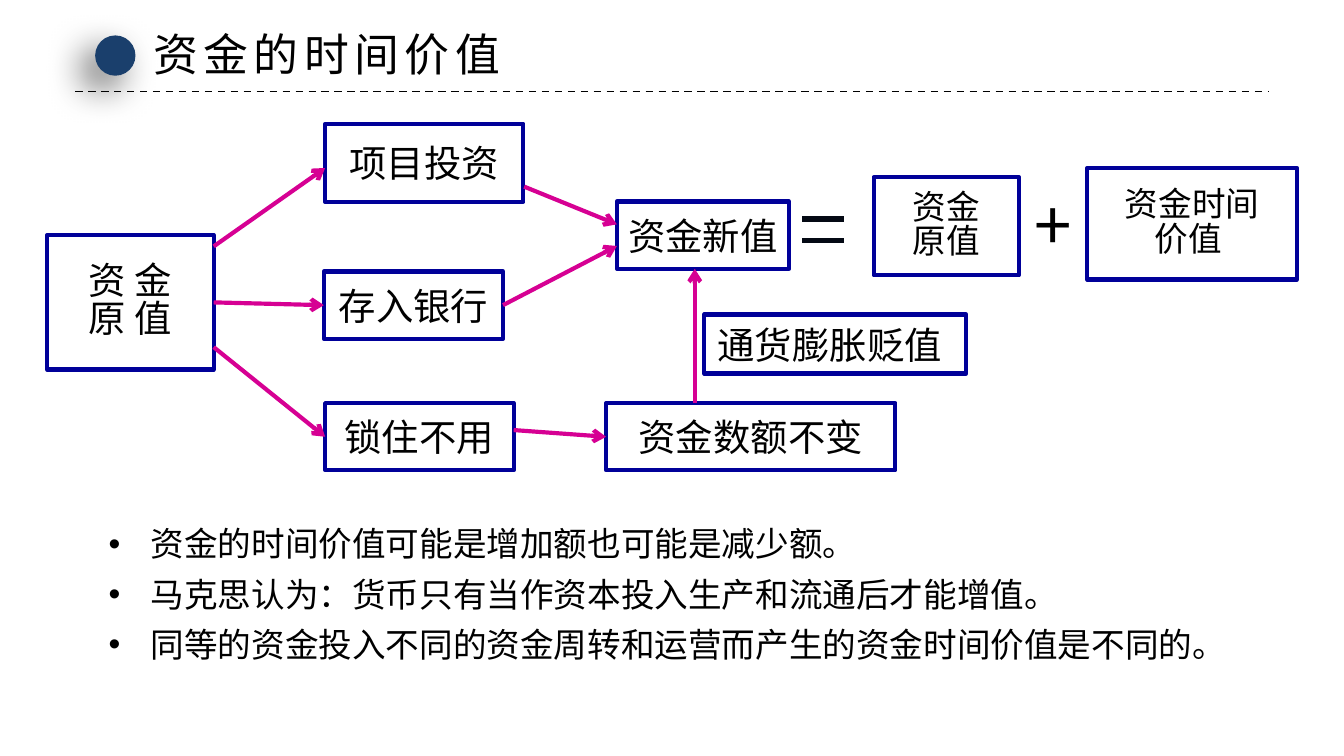
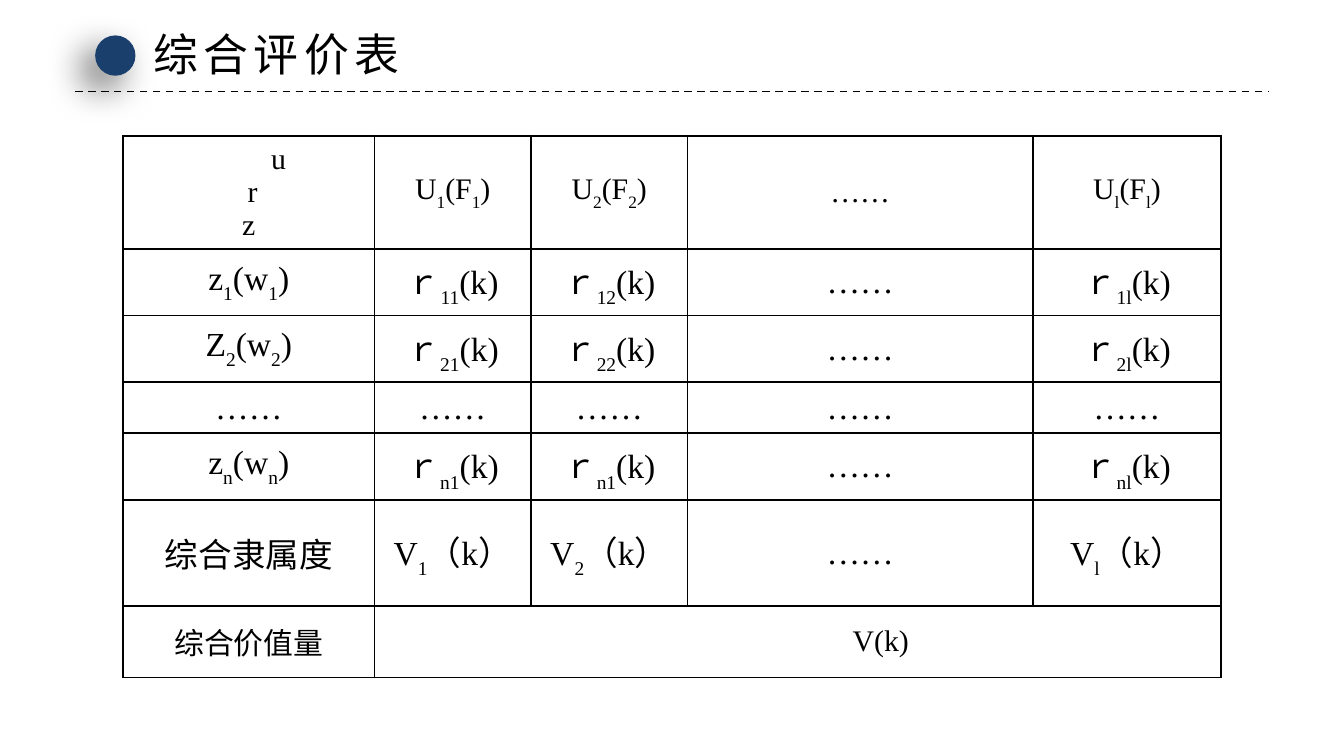
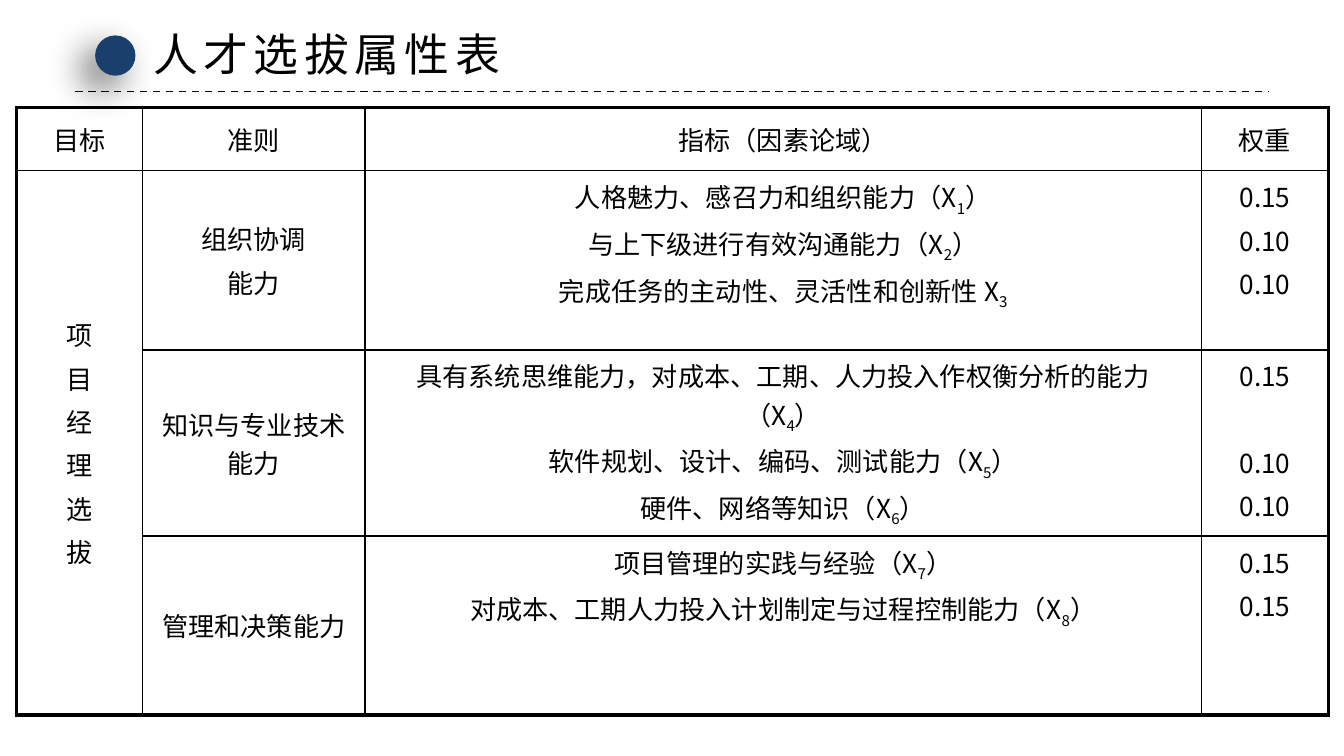
from pptx import Presentation
from pptx.dml.color import RGBColor
from pptx.enum.dml import MSO_LINE
from pptx.enum.shapes import MSO_CONNECTOR, MSO_SHAPE
from pptx.enum.text import MSO_ANCHOR, MSO_AUTO_SIZE, PP_ALIGN
from pptx.oxml.ns import qn
from pptx.util import Pt
from lxml.etree import SubElement

BLACK = RGBColor(0x00, 0x00, 0x00)
NAVY = RGBColor(0x1A, 0x3F, 0x6C)
BOX_BLUE = RGBColor(0x00, 0x00, 0x99)
ARROW_PINK = RGBColor(0xD6, 0x00, 0x93)
EQUALS_INK = RGBColor(0x04, 0x09, 0x14)
SANS = "Noto Sans CJK SC"
SERIF = "Times New Roman"
NO_STYLE = "{2D5ABB26-0587-4C30-8999-92F81FD0307C}"
TOP, LEFT, BOTTOM, RIGHT = range(4)

FLOW_TITLE = "资金的时间价值"
FLOW_POINTS = [
    "资金的时间价值可能是增加额也可能是减少额。",
    "马克思认为：货币只有当作资本投入生产和流通后才能增值。",
    "同等的资金投入不同的资金周转和运营而产生的资金时间价值是不同的。",
]
FLOW_BOXES = {
    "original": ("资 金\n原 值", 20, (25.2, 126, 89.3, 72)),
    "bank": ("存入银行", 20, (173.5, 145.5, 96, 36)),
    "project": ("项目投资", 20, (174.2, 66.3, 106.2, 41.8)),
    "locked": ("锁住不用", 20, (174.2, 216, 101, 36)),
    "unchanged": ("资金数额不变", 20, (324.7, 216, 155, 36)),
    "new value": ("资金新值", 20, (330.5, 108, 92.2, 36)),
    "time value": ("资金时间\n价值 ", 18, (582.5, 90, 112.3, 59.8)),
    "principal": ("资金\n原值", 18, (468, 95, 77.8, 52.6)),
    "inflation": ("通货膨胀贬值", 20, (377.3, 168.5, 140.4, 31.7)),
}
FLOW_ARROWS = [
    (("original", RIGHT), ("bank", LEFT)),
    ((114.5, 132), (174.2, 90)),
    ((114.5, 186), ("locked", LEFT)),
    ((275.2, 230.4), ("unchanged", LEFT)),
    ((280.8, 100), (330.5, 120.2)),
    (("bank", RIGHT), (330.5, 131.8)),
    ((372.2, 216), (372.2, 144)),
]
EQUALS_HEIGHTS = [117.4, 128.9]

SCORE_TITLE = "综合评价表"
DOTS = "……"
SCORE_ROWS = [
    ["u\nr\nz", "U~1~(F~1~)", "U~2~(F~2~)", DOTS, "U~l~(F~l~)"],
    ["z~1~(w~1~)", "ｒ~11~(k)", "ｒ~12~(k)", DOTS, "ｒ~1l~(k)"],
    ["Z~2~(w~2~)", "ｒ~21~(k)", "ｒ~22~(k)", DOTS, "ｒ~2l~(k)"],
    [DOTS] * 5,
    ["z~n~(w~n~)", "ｒ~n1~(k)", "ｒ~n1~(k)", DOTS, "ｒ~nl~(k)"],
    ["综合隶属度", "V~1~（k）", "V~2~（k）", DOTS, "V~l~（k）"],
    ["综合价值量", "V(k)", "", "", ""],
]
SCORE_LAYOUT = {
    "origin": (66, 72.7),
    "widths": [134.6, 83.9, 83.9, 185, 100.8],
    "heights": [47.5, 27.4, 27.4, 27.4, 27.4, 31.7, 38.2],
    "sizes": [16, 18, 18, 18, 18, 18, 16],
    "font": SERIF,
    "subscript": -30000,
    "merge": ((6, 1), (6, 4)),
    "frame": 1,
    "top_cells": [(0, 0)],
    "indents": {(0, 0, 0): 32, (0, 0, 1): 4, (6, 1, 0): 89},
    "gap": 0,
    "gaps": {},
}

TALENT_TITLE = "人才选拔属性表"
TALENT_ROWS = [
    ["目标", "准则", "指标（因素论域）", "权重"],
    ["项\n目\n经\n理\n选\n拔", "组织协调\n能力",
     "人格魅力、感召力和组织能力（X~1~）\n与上下级进行有效沟通能力（X~2~）\n"
     "完成任务的主动性、灵活性和创新性 X~3~",
     "0.15\n0.10\n0.10"],
    ["", "知识与专业技术能力",
     "具有系统思维能力，对成本、工期、人力投入作权衡分析的能力（X~4~）\n"
     "软件规划、设计、编码、测试能力（X~5~）\n硬件、网络等知识（X~6~）",
     "0.15\n0.10\n0.10"],
    ["", "管理和决策能力",
     "项目管理的实践与经验（X~7~）\n对成本、工期人力投入计划制定与过程控制能力（X~8~）",
     "0.15\n0.15"],
]
TALENT_LAYOUT = {
    "origin": (8.9, 57.6),
    "widths": [67.5, 119.2, 448, 68.2],
    "heights": [33.8, 96, 96, 96],
    "sizes": [14] * 4,
    "font": SANS,
    "subscript": -25000,
    "merge": ((1, 0), (3, 0)),
    "frame": 2.25,
    "top_cells": [(row, column) for row in (1, 2, 3) for column in (2, 3)],
    "indents": {},
    "gap": 2.8,
    "gaps": {(2, 3, 1): 26},
}


def points(values):
    return [Pt(value) for value in values]


def place(shape, area):
    shape.left, shape.top, shape.width, shape.height = points(area)


def add_spans(para, text, size, font=SANS, subscript=0):
    for index, part in enumerate(text.split("~")):
        if not part:
            continue
        span = para.add_run()
        span.text = part
        span.font.size = Pt(size)
        span.font.bold = False
        span.font.color.rgb = BLACK
        span.font.name = font
        props = span._r.get_or_add_rPr()
        SubElement(props, qn("a:ea"), typeface=SANS)
        if index % 2:
            props.set("baseline", str(subscript))


def write_lines(frame, lines, size, align, font=SANS, subscript=0):
    for index, line in enumerate(lines):
        para = frame.add_paragraph() if index else frame.paragraphs[0]
        para.alignment = align
        add_spans(para, line, size, font, subscript)
    return frame.paragraphs


def set_frame(frame, side_margin=0, wrap=True):
    frame.auto_size = MSO_AUTO_SIZE.NONE
    frame.word_wrap = wrap
    frame.vertical_anchor = MSO_ANCHOR.MIDDLE
    frame.margin_top = frame.margin_bottom = 0
    frame.margin_left = frame.margin_right = Pt(side_margin)


def add_line(page, start, end, color, width):
    line = page.shapes.add_connector(MSO_CONNECTOR.STRAIGHT, *points(start + end))
    line.line.color.rgb = color
    line.line.width = Pt(width)
    SubElement(line._element.spPr, qn("a:effectLst"))
    return line


def add_page(deck, title, layout):
    page = deck.slides.add_slide(deck.slide_layouts.get_by_name(layout))
    rule = add_line(page, (40.3, 49), (679.7, 49), BLACK, 1)
    rule.line.dash_style = MSO_LINE.DASH

    dot = page.shapes.add_shape(MSO_SHAPE.OVAL, *points((51, 19, 21.6, 21.6)))
    dot.fill.solid()
    dot.fill.fore_color.rgb = NAVY
    dot.line.fill.background()
    effects = SubElement(dot._element.spPr, qn("a:effectLst"))
    shadow = SubElement(effects, qn("a:outerShdw"), blurRad=str(Pt(20)), dist=str(Pt(10)),
                        dir="8100000", algn="tr", rotWithShape="0")
    shade = SubElement(shadow, qn("a:srgbClr"), val=str(BLACK))
    SubElement(shade, qn("a:alpha"), val="60000")

    heading = page.shapes.title
    place(heading, (74.8, 10.8, 14.4 + 27 * len(title), 36))
    set_frame(heading.text_frame, 7.2, False)
    para = write_lines(heading.text_frame, [title], 24, PP_ALIGN.LEFT)[0]
    para.runs[0]._r.get_or_add_rPr().set("spc", "300")
    return page


def add_bullets(page, lines):
    body = page.placeholders[1]
    place(body, (51, 271.4, 623.6, 102.2))
    body.text_frame.auto_size = MSO_AUTO_SIZE.NONE
    for para in write_lines(body.text_frame, lines, 18, PP_ALIGN.JUSTIFY):
        para.line_spacing = 1.25
        para.space_before = Pt(0)
        props = para._p.get_or_add_pPr()
        props.set("marL", str(Pt(22.5)))
        props.set("indent", str(Pt(-22.5)))
        SubElement(props, qn("a:buChar"), char="•")


def add_box(page, name):
    text, size, area = FLOW_BOXES[name]
    box = page.shapes.add_shape(MSO_SHAPE.RECTANGLE, *points(area))
    box.shadow.inherit = False
    box.fill.background()
    box.line.color.rgb = BOX_BLUE
    box.line.width = Pt(2.25)
    is_label = name == "inflation"
    set_frame(box.text_frame, 7.2 if is_label else 0)
    lines = text.split("\n")
    align = PP_ALIGN.LEFT if is_label else PP_ALIGN.CENTER
    for para in write_lines(box.text_frame, lines, size, align):
        if len(lines) > 1:
            para.line_spacing = 0.85
    return box


def locate(end):
    if not isinstance(end[0], str):
        return end
    name, side = end
    left, top, width, height = FLOW_BOXES[name][2]
    return {
        TOP: (left + width / 2, top),
        LEFT: (left, top + height / 2),
        BOTTOM: (left + width / 2, top + height),
        RIGHT: (left + width, top + height / 2),
    }[side]


def add_arrow(page, boxes, start, end):
    arrow = add_line(page, locate(start), locate(end), ARROW_PINK, 2.25)
    SubElement(arrow.line._get_or_add_ln(), qn("a:tailEnd"), type="arrow")
    for target, connect in ((start, arrow.begin_connect), (end, arrow.end_connect)):
        if isinstance(target[0], str):
            connect(boxes[target[0]], target[1])


def add_flow(page):
    boxes = {name: add_box(page, name) for name in FLOW_BOXES}
    for start, end in FLOW_ARROWS:
        add_arrow(page, boxes, start, end)
    for height in EQUALS_HEIGHTS:
        add_line(page, (429.8, height), (452.2, height), EQUALS_INK, 3)
    plus = page.shapes.add_textbox(*points((547.2, 94, 35.3, 52)))
    set_frame(plus.text_frame, 7.2, False)
    write_lines(plus.text_frame, ["+"], 36, PP_ALIGN.LEFT)


def set_borders(cell, widths):
    props = cell._tc.get_or_add_tcPr()
    for side, width in zip("LRTB", widths):
        border = SubElement(props, qn("a:ln" + side), w=str(Pt(width)))
        fill = SubElement(border, qn("a:solidFill"))
        SubElement(fill, qn("a:srgbClr"), val=str(BLACK))


def add_grid(page, rows, layout):
    widths, heights = layout["widths"], layout["heights"]
    area = (*layout["origin"], sum(widths), sum(heights))
    table = page.shapes.add_table(len(rows), len(widths), *points(area)).table
    table.first_row = table.horz_banding = False
    table._tbl.tblPr.find(qn("a:tableStyleId")).text = NO_STYLE
    for column, width in zip(table.columns, widths):
        column.width = Pt(width)
    for row, height in zip(table.rows, heights):
        row.height = Pt(height)
    first, last = layout["merge"]
    table.cell(*first).merge(table.cell(*last))

    for r, texts in enumerate(rows):
        for c, text in enumerate(texts):
            cell = table.cell(r, c)
            if cell.is_spanned:
                continue
            end_row, end_column = last if (r, c) == first else (r, c)
            outer = (c == 0, end_column == len(widths) - 1, r == 0, end_row == len(rows) - 1)
            set_borders(cell, [layout["frame"] if edge else 1 for edge in outer])
            cell.fill.background()
            is_top = (r, c) in layout["top_cells"]
            cell.vertical_anchor = MSO_ANCHOR.TOP if is_top else MSO_ANCHOR.MIDDLE
            paras = write_lines(cell.text_frame, text.split("\n"), layout["sizes"][r],
                                PP_ALIGN.CENTER, layout["font"], layout["subscript"])
            for index, para in enumerate(paras):
                key = (r, c, index)
                if index:
                    para.space_before = Pt(layout["gaps"].get(key, layout["gap"]))
                if key in layout["indents"]:
                    para._p.get_or_add_pPr().set("marL", str(Pt(layout["indents"][key])))


def main():
    deck = Presentation()
    deck.slide_width, deck.slide_height = Pt(720), Pt(405)

    flow_page = add_page(deck, FLOW_TITLE, "Title and Content")
    add_bullets(flow_page, FLOW_POINTS)
    add_flow(flow_page)

    for title, rows, layout in (
        (SCORE_TITLE, SCORE_ROWS, SCORE_LAYOUT),
        (TALENT_TITLE, TALENT_ROWS, TALENT_LAYOUT),
    ):
        add_grid(add_page(deck, title, "Title Only"), rows, layout)

    deck.save("out.pptx")


if __name__ == "__main__":
    main()
